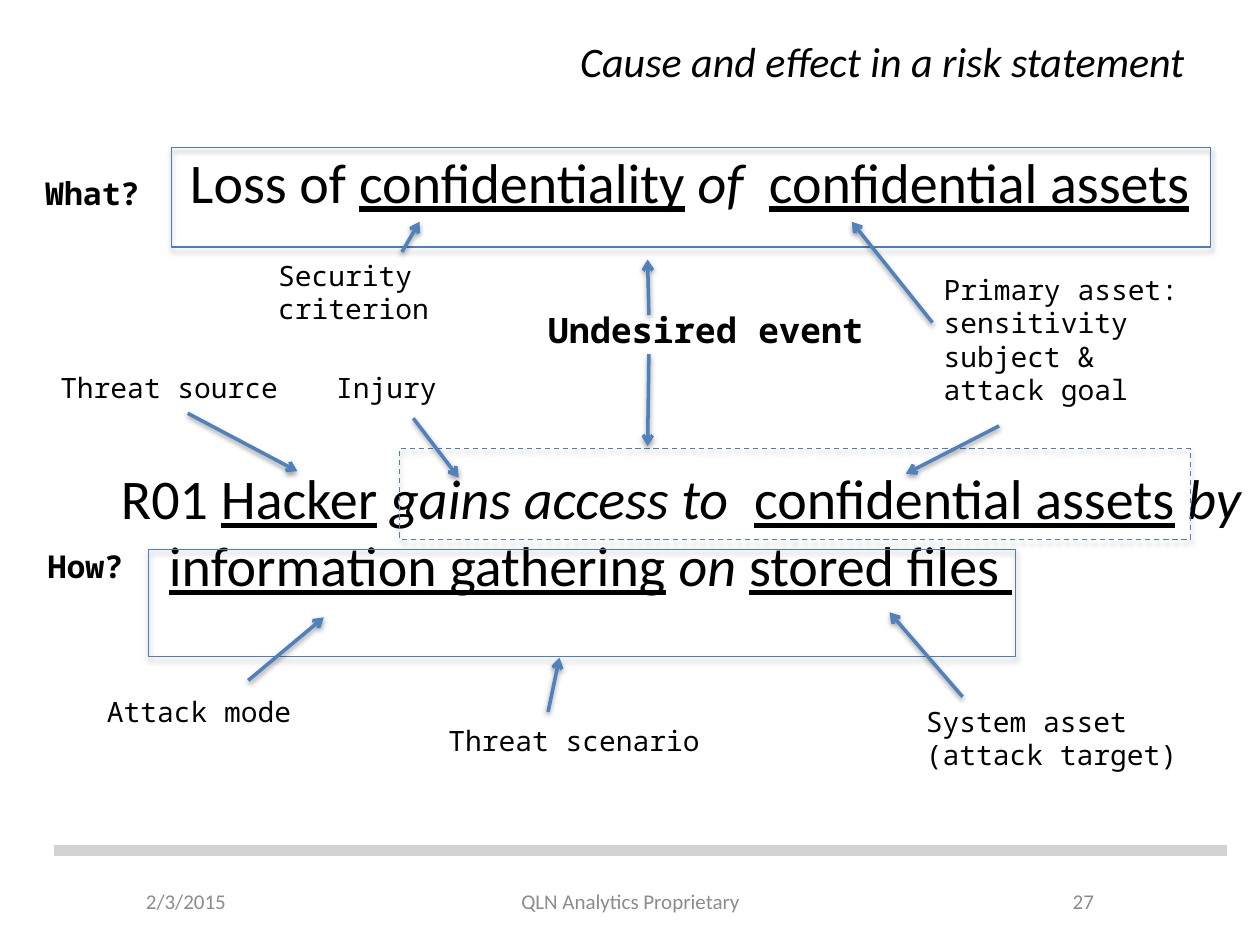
from lxml import etree
from pptx import Presentation
from pptx.dml.color import RGBColor
from pptx.enum.dml import MSO_LINE
from pptx.enum.shapes import MSO_CONNECTOR, MSO_SHAPE
from pptx.enum.text import MSO_ANCHOR, MSO_AUTO_SIZE, PP_ALIGN
from pptx.oxml.ns import qn
from pptx.util import Inches, Pt

STRAIGHT = MSO_CONNECTOR.STRAIGHT
LEFT, CENTER, RIGHT = PP_ALIGN.LEFT, PP_ALIGN.CENTER, PP_ALIGN.RIGHT
TOP, MIDDLE = MSO_ANCHOR.TOP, MSO_ANCHOR.MIDDLE
DASH = MSO_LINE.DASH

COLORS = {"text": "000000", "footer": "8C8C8C", "rule": "D1D2D3",
          "arrow": "4F81BD", "frame": "4B7EBC", "shadow": "000000"}
SANS, MONO = "Calibri", "Noto Sans Mono"

TITLE = "Cause and effect in a risk statement"
TITLE_AREA = (0.5, 0.21, 9, 0.55)

# Statement spans: text, style ("u" underlined, "i" italic, "" plain)
HOW_AREA = (0.86, 3.63, 9.14, 1.41)
HOW_STATEMENT = [
    ("R01 ", ""), ("Hacker", "u"), (" ", ""), ("gains access to  ", "i"),
    ("confidential assets", "u"), (" ", ""), ("by ", "i"),
    ("information gathering", "u"), (" ", ""), ("on ", "i"),
    ("stored files ", "u"),
]
WHAT_AREA = (1.41, 1.12, 9.14, 0.82)
WHAT_STATEMENT = [
    ("Loss of ", ""), ("confidentiality", "u"), (" ", ""), ("of  ", "i"),
    ("confidential assets", "u"),
]

# Labels: paragraphs, area, size, bold
LABELS = [
    (["Threat source"], (0.38, 2.89, 1.95, 0.37), 16, False),
    (["Injury"], (2.57, 2.89, 1.25, 0.37), 16, False),
    (["Primary asset: sensitivity subject &", "attack goal"],
     (7.39, 2.11, 2.61, 1.21), 16, False),
    (["Attack mode"], (0.75, 5.46, 2.17, 0.37), 16, False),
    (["System asset (attack target)"], (7.25, 5.54, 2.54, 0.64), 16, False),
    (["Threat scenario"], (3.46, 5.69, 2.61, 0.37), 16, False),
    (["Security criterion"], (2.11, 2, 2.15, 0.64), 16, False),
    (["Undesired event"], (4.25, 2.4, 3, 0.44), 20, True),
    (["What?"], (0.26, 1.33, 1.25, 0.4), 18, True),
    (["How?"], (0.28, 4.29, 1.25, 0.4), 18, True),
]

# Arrows: start x, start y, tip x, tip y
ARROWS = [
    (1.49, 3.28, 2.36, 3.74),  # threat source
    (3.28, 3.32, 3.64, 3.79),  # injury
    (7.93, 3.38, 7.19, 3.76),  # primary asset, down
    (7.4, 2.56, 6.76, 1.76),   # primary asset, up
    (1.97, 5.4, 2.57, 4.9),    # attack mode
    (7.64, 5.53, 7.06, 4.86),  # system asset
    (4.35, 5.65, 4.44, 5.22),  # threat scenario
    (5.15, 2.81, 5.14, 3.54),  # undesired event, down
    (5.15, 2.5, 5.14, 2.06),   # undesired event, up
    (3.19, 2, 3.33, 1.76),     # security criterion
]

# Frames: area, dash style
FRAMES = [
    ((1.18, 4.36, 6.88, 0.85), None),
    ((3.17, 3.56, 6.28, 0.72), DASH),
    ((1.36, 1.17, 8.25, 0.79), None),
]

RULE = (0.43, 6.75, 9.74, 6.75)
FOOTERS = [
    ("2/3/2015", (1.06, 6.95, 1.77, 0.4), LEFT),
    ("QLN Analytics Proprietary", (3.42, 6.95, 3.17, 0.4), CENTER),
    ("27", (7.17, 6.95, 1.61, 0.4), RIGHT),
]


def color(name):
    return RGBColor.from_string(COLORS[name])


def inches(values):
    return [Inches(value) for value in values]


def place(shape, area):
    shape.left, shape.top, shape.width, shape.height = inches(area)


def set_font(font, name, size, color_name="text"):
    font.name, font.size = name, Pt(size)
    font.color.rgb = color(color_name)


def add_shadow(shape, opacity, distance):
    """Give the shape a soft shadow straight below it."""
    effects = etree.SubElement(shape._element.spPr, qn("a:effectLst"))
    if not opacity:
        return
    shadow = etree.SubElement(
        effects, qn("a:outerShdw"), blurRad=str(Pt(3.1)),
        dist=str(Pt(distance)), dir="5400000", rotWithShape="0")
    tint = etree.SubElement(shadow, qn("a:srgbClr"), val=COLORS["shadow"])
    etree.SubElement(tint, qn("a:alpha"), val=str(opacity * 1000))


def add_text(page, paragraphs, area, name, size, color_name="text",
             bold=False, align=LEFT, anchor=TOP):
    box = page.shapes.add_textbox(*inches(area))
    frame = box.text_frame
    frame.word_wrap, frame.vertical_anchor = True, anchor
    frame.text = "\n".join(paragraphs)
    for para in frame.paragraphs:
        para.alignment = align
        set_font(para.font, name, size, color_name)
        para.font.bold = bold


def write_statement(box, spans):
    """Fill the box with one hanging, unbulleted paragraph of styled spans."""
    frame = box.text_frame
    frame.word_wrap, frame.auto_size = True, MSO_AUTO_SIZE.NONE
    para = frame.paragraphs[0]
    settings = para._p.get_or_add_pPr()
    settings.set("marL", str(Inches(0.38)))
    settings.set("indent", str(Inches(-0.38)))
    etree.SubElement(settings, qn("a:buNone"))
    para.space_before = Pt(0)
    set_font(para.font, SANS, 32)
    for text, style in spans:
        span = para.add_run()
        span.text = text
        span.font.underline = style == "u"
        span.font.italic = style == "i"


def add_line(page, ends, color_name, width):
    line = page.shapes.add_connector(STRAIGHT, *inches(ends))
    line.line.color.rgb = color(color_name)
    line.line.width = Pt(width)
    return line


def add_arrow(page, ends):
    arrow = add_line(page, ends, "arrow", 2)
    etree.SubElement(arrow.line._get_or_add_ln(), qn("a:tailEnd"), type="arrow")
    add_shadow(arrow, 38, 1.6)


def add_frame(page, area, dash):
    frame = page.shapes.add_shape(MSO_SHAPE.RECTANGLE, *inches(area))
    frame.fill.background()
    frame.line.color.rgb = color("frame")
    frame.line.width = Pt(0.75)
    if dash:
        frame.line.dash_style = dash
    add_shadow(frame, 35, 1.8)


def main():
    deck = Presentation()
    deck.slide_width, deck.slide_height = Inches(10), Inches(7.5)
    page = deck.slides.add_slide(deck.slide_layouts[1])

    title, body = page.placeholders
    place(title, TITLE_AREA)
    title.text_frame.text = TITLE
    title.text_frame.vertical_anchor = MIDDLE
    title.text_frame.auto_size = MSO_AUTO_SIZE.NONE
    heading = title.text_frame.paragraphs[0]
    heading.alignment = RIGHT
    set_font(heading.font, SANS, 24)
    heading.font.italic = True

    place(body, HOW_AREA)
    write_statement(body, HOW_STATEMENT)
    write_statement(page.shapes.add_textbox(*inches(WHAT_AREA)), WHAT_STATEMENT)

    add_shadow(add_line(page, RULE, "rule", 6), 0, 0)
    for text, area, align in FOOTERS:
        add_text(page, [text], area, SANS, 12, "footer", align=align, anchor=MIDDLE)
    for area, dash in FRAMES:
        add_frame(page, area, dash)
    for paragraphs, area, size, bold in LABELS:
        add_text(page, paragraphs, area, MONO, size, bold=bold)
    for ends in ARROWS:
        add_arrow(page, ends)

    deck.save("out.pptx")


if __name__ == "__main__":
    main()
